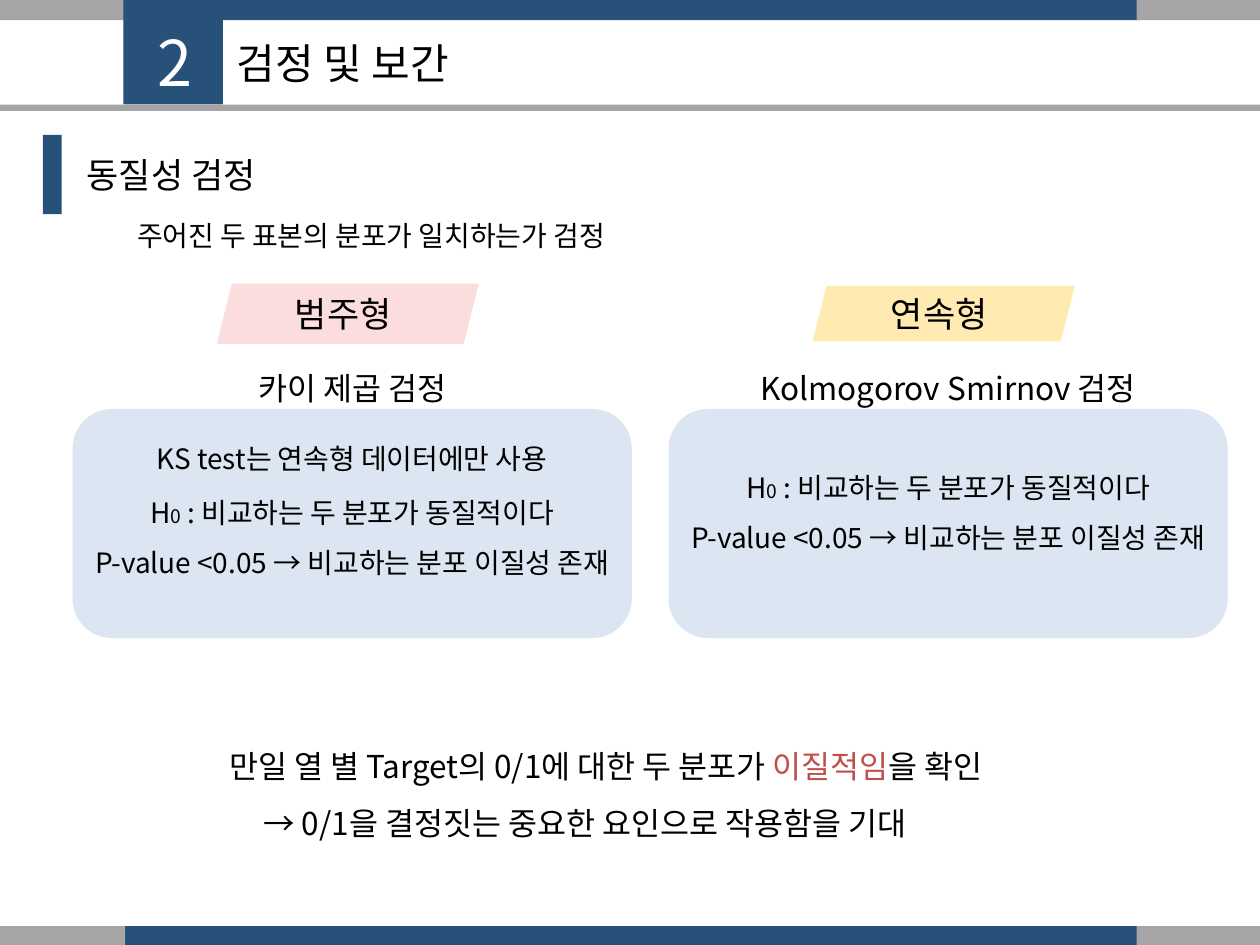
from lxml.etree import SubElement
from pptx import Presentation
from pptx.dml.color import RGBColor
from pptx.enum.shapes import MSO_SHAPE as Shape
from pptx.enum.text import MSO_ANCHOR as Anchor, PP_ALIGN as Align
from pptx.oxml.ns import qn
from pptx.util import Inches, Pt

WIDTH, HEIGHT = Inches(10), Inches(7.5)
COLUMNS, ROWS = 100, 75
FONT = "Noto Sans CJK KR"
NAVY, GRAY, PALE, BLACK, WHITE, RED = "28517A", "A5A5A5", "DCE6F2", "000000", "FFFFFF", "C0504D"
HYPOTHESIS = [
    ["H", ("0", {"size": 11}), " : 비교하는 두 분포가 동질적이다"],
    ["P-value <0.05 → 비교하는 분포 이질성 존재"],
]


def color(code):
    """Turn a hex string into a colour."""
    return RGBColor.from_string(code)


def place(box):
    """Turn left, top, width and height in grid cells into slide lengths."""
    left, top, width, height = box
    return (int(left * WIDTH / COLUMNS), int(top * HEIGHT / ROWS),
            int(width * WIDTH / COLUMNS), int(height * HEIGHT / ROWS))


def add_block(page, box, fill, kind=Shape.RECTANGLE, opacity=100, line=None):
    """Draw a filled preset shape."""
    block = page.shapes.add_shape(kind, *place(box))
    block.shadow.inherit = False
    block.fill.solid()
    block.fill.fore_color.rgb = color(fill)
    if opacity < 100:
        tint = block.fill._xPr.find(".//" + qn("a:srgbClr"))
        SubElement(tint, qn("a:alpha"), val=str(opacity * 1000))
    if line:
        block.line.color.rgb = color(line)
        block.line.width = Pt(2)
    else:
        block.line.fill.background()
    return block


def add_text(page, box, paragraphs, size=16, ink=BLACK, align=Align.LEFT,
             spacing=1.0, anchor=Anchor.TOP, indent=0):
    """Write paragraphs of spans, each a string or a string with its own format."""
    frame = page.shapes.add_textbox(*place(box)).text_frame
    frame.word_wrap = True
    frame.vertical_anchor = anchor
    frame.margin_left += Inches(indent)
    for index, spans in enumerate(paragraphs):
        para = frame.add_paragraph() if index else frame.paragraphs[0]
        para.alignment, para.line_spacing = align, spacing
        for item in spans:
            words, style = (item, {}) if isinstance(item, str) else item
            span = para.add_run()
            span.text = words
            span.font.size = Pt(style.get("size", size))
            span.font.color.rgb = color(style.get("ink", ink))
            span.font.name = FONT
            SubElement(span.font._element, qn("a:ea"), typeface=FONT)


def add_band(page, box):
    """Draw a navy band with gray ends across the box."""
    left, top, width, height = box
    add_block(page, (left + 9.9, top, width - 19.4, height), NAVY)
    add_block(page, (left, top, 9.9, height), GRAY)
    add_block(page, (left + width - 9.8, top, 9.8, height), GRAY)


def add_header(page, box, number, title):
    """Place the section number, the title and the rule under them."""
    left, top, width, height = box
    add_block(page, (left + 9.8, top, 7.9, height), NAVY)
    add_block(page, (left, top + height, width, 0.5), GRAY)
    add_text(page, (left + 17.8, top + 1.4, 62.8, 7.2), [[title]], size=24, anchor=Anchor.MIDDLE)
    add_text(page, (left + 11.5, top + 1.4, 4.5, 6.2), [[number]], size=36, ink=WHITE)


def add_heading(page, box, heading, summary):
    """Place the marker bar, the heading and its summary."""
    left, top, width, height = box
    add_block(page, (left, top, 1.5, height), NAVY)
    add_text(page, (left + 2.5, top + 1, 29.9, 4.4), [[heading]], size=20)
    add_text(page, (left + 2.3, top + 4.8, width, 4.6), [[summary]], align=Align.CENTER, spacing=1.5)


def add_test(page, box, tag, tag_fill, tag_height, opacity, name, body_top, note=None):
    """Place one test: its tag, its name and a panel with its hypothesis."""
    left, top, width, height = box
    panel_top = top + 10.1
    add_block(page, (left, panel_top, width, height - 10.1), PALE, Shape.ROUNDED_RECTANGLE, line=PALE)
    tag_top = top + (4.8 - tag_height) / 2
    label = add_block(page, (left + 11.3, tag_top, 20.8, tag_height), tag_fill, Shape.PARALLELOGRAM, opacity)
    label.adjustments[0] = 0.25
    add_text(page, (left + 13.7, top + 0.2, 15.3, 4.4), [[tag]], size=20, align=Align.CENTER)
    add_text(page, (left + 3.2, top + 6.3, 37.7, 4), [[name]], size=18, align=Align.CENTER)
    if note:
        add_text(page, (left + 3.4, panel_top + 0.6, 37.3, 4.6), [[note]], align=Align.CENTER, spacing=1.5)
    add_text(page, (left + 0.3, panel_top + body_top, 43.5, 8.7), HYPOTHESIS, align=Align.CENTER, spacing=1.5)


def add_conclusion(page, box):
    """Place the two closing lines."""
    left, top, width, height = box
    add_text(page, (left, top, width, height),
             [["만일 열 별 Target의 0/1에 대한 두 분포가 ", ("이질적임", {"ink": RED}), "을 확인"]], size=18)
    add_text(page, (left + 1.6, top + 4.5, width - 7.8, height),
             [["→ 0/1을 결정짓는 중요한 요인으로 작용함을 기대"]], size=18, indent=0.11)


def main():
    """Build the slide and save it."""
    deck = Presentation()
    deck.slide_width, deck.slide_height = WIDTH, HEIGHT
    page = deck.slides.add_slide(deck.slide_layouts[6])
    for top in (0, 73.5):
        add_band(page, (0, top, COLUMNS, 1.6))
    add_header(page, (0, 0, COLUMNS, 8.3), "2", "검정 및 보간")
    add_heading(page, (3.4, 10.7, 47.5, 6.3), "동질성 검정", "주어진 두 표본의 분포가 일치하는가 검정")
    add_test(page, (5.9, 22.5, 44.1, 28), "범주형", "FBDDDD", 4.8, 100,
             "카이 제곱 검정", 4.9, "KS test는 연속형 데이터에만 사용")
    add_test(page, (53.2, 22.5, 44.1, 28), "연속형", "FFC000", 4.4, 30,
             "Kolmogorov Smirnov 검정", 2.9)
    add_conclusion(page, (17.2, 58.8, 68.7, 4))
    deck.save("out.pptx")


if __name__ == "__main__":
    main()
